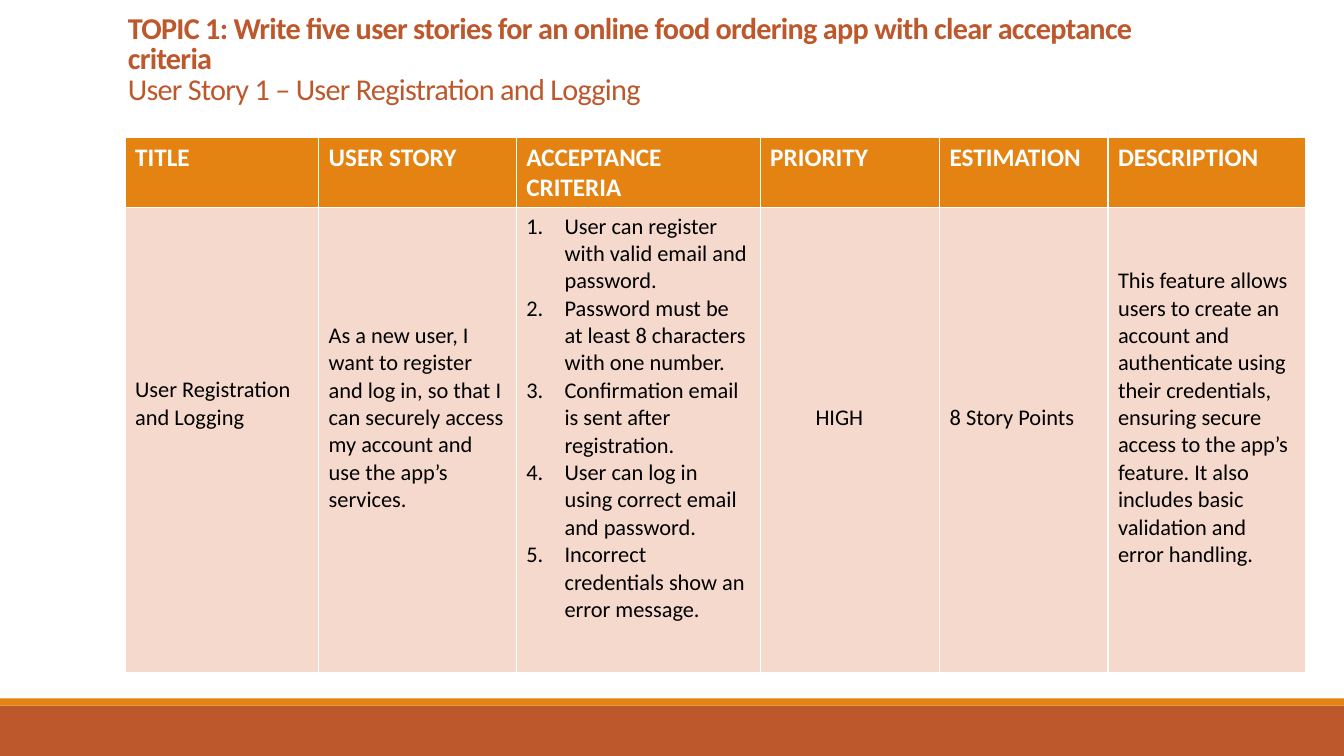
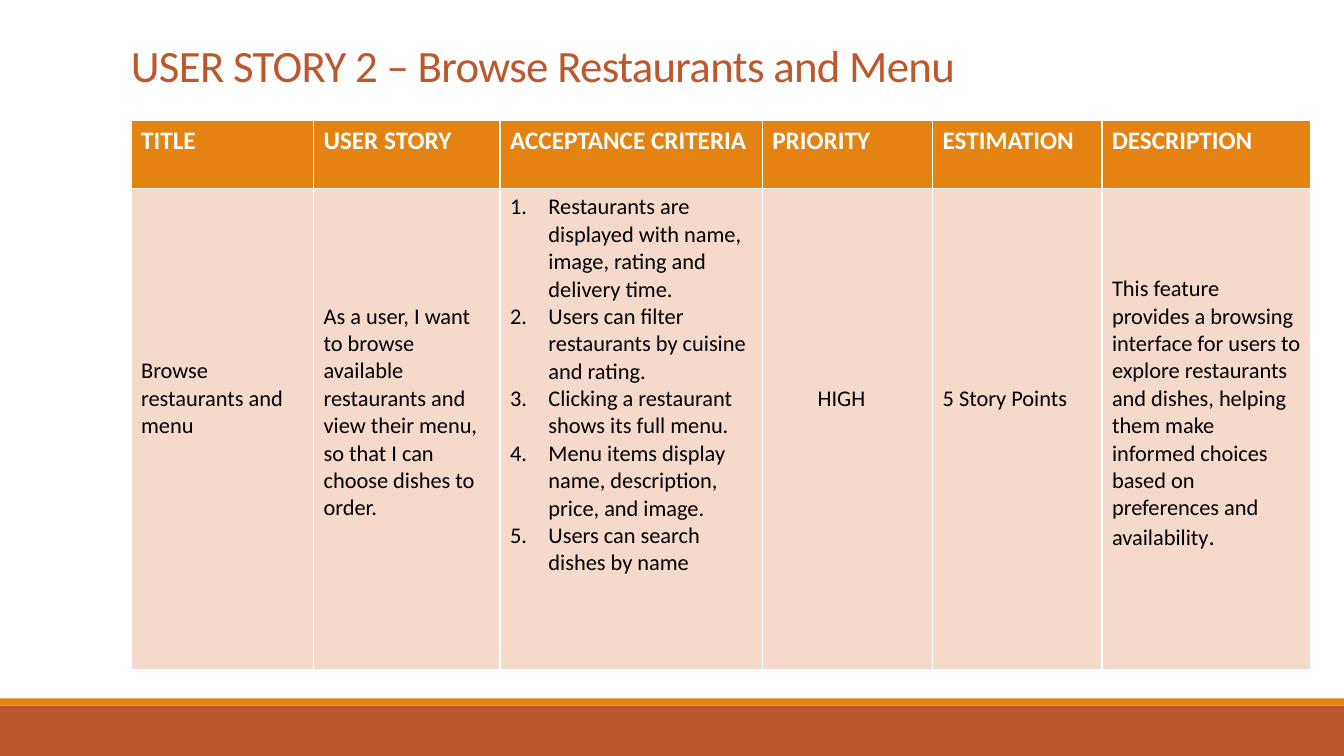
from lxml.etree import SubElement
from pptx import Presentation
from pptx.dml.color import RGBColor
from pptx.enum.shapes import MSO_SHAPE
from pptx.enum.text import MSO_ANCHOR
from pptx.oxml.ns import qn
from pptx.util import Inches, Pt

COLORS = {
    "rust": "BD582C",
    "orange": "E48312",
    "blush": "F5D9CC",
    "white": "FFFFFF",
    "black": "000000",
}
ROWS = 75
LINE = 2.71
HEADERS = ["TITLE", "USER STORY", "ACCEPTANCE CRITERIA", "PRIORITY", "ESTIMATION", "DESCRIPTION"]

STORIES = [
    {
        "title": {
            "box": (11.7, 0.5, 110, 10.6),
            "size": 21.6,
            "lines": [
                ("TOPIC 1: Write five user stories for an online food ordering app with clear acceptance criteria", True),
                ("User Story 1 – User Registration and Logging", False),
            ],
        },
        "corner": (12.4, 13.6),
        "columns": [19.2, 19.6, 24.2, 17.8, 16.7, 19.6],
        "rows": [7, 46.1],
        "name": "User Registration and Logging",
        "story": "As a new user, I want to register and log in, so that I can securely access "
                 "my account and use the app’s services.",
        "criteria": [
            "User can register with valid email and password.",
            "Password must be at least 8 characters with one number.",
            "Confirmation email is sent after registration.",
            "User can log in using correct email and password.",
            "Incorrect credentials show an error message.",
        ],
        "priority": "HIGH",
        "estimation": "8 Story Points",
        "description": [
            ("This feature allows users to create an account and authenticate using their "
             "credentials, ensuring secure access to the app’s feature. It also includes basic "
             "validation and error handling.", 16),
        ],
        "description_drop": 2,
    },
    {
        "title": {
            "box": (12, 3.1, 110, 6.5),
            "size": 32,
            "lines": [("USER STORY 2 – Browse Restaurants and Menu", False)],
        },
        "corner": (13, 11.9),
        "columns": [18.1, 18.5, 26, 16.9, 16.8, 20.7],
        "rows": [6.8, 47.7],
        "name": "Browse restaurants and menu",
        "story": "As a user, I want to browse available restaurants and view their menu, "
                 "so that I can choose dishes to order.",
        "criteria": [
            "Restaurants are displayed with name, image, rating and delivery time.",
            "Users can filter restaurants by cuisine and rating.",
            "Clicking a restaurant shows its full menu.",
            "Menu items display name, description, price, and image.",
            "Users can search dishes by name",
        ],
        "priority": "HIGH",
        "estimation": "5 Story Points",
        "description": [
            ("This feature provides a browsing interface for users to explore restaurants and "
             "dishes, helping them make informed choices based on preferences and availability", 16),
            (".", 18),
        ],
        "description_drop": 3,
    },
]


class StoryDeck:
    """Hold the shared style and the current slide, and draw its elements."""

    def __init__(self):
        self.presentation = Presentation()
        self.presentation.slide_width = Inches(13.33)
        self.presentation.slide_height = Inches(7.5)
        self.slide = None

    def grid(self, *counts):
        unit = self.presentation.slide_height / ROWS
        return [round(count * unit) for count in counts]

    def add_slide(self):
        self.slide = self.presentation.slides.add_slide(self.presentation.slide_layouts[6])
        self.band(70, 5, "rust")
        self.band(69.3, 0.7, "orange")

    def band(self, top, height, color):
        top, height = self.grid(top, height)
        shape = self.slide.shapes.add_shape(
            MSO_SHAPE.RECTANGLE, 0, top, self.presentation.slide_width, height)
        shape.shadow.inherit = False
        shape.line.fill.background()
        self.fill(shape, color)

    def fill(self, target, color):
        target.fill.solid()
        target.fill.fore_color.rgb = RGBColor.from_string(COLORS[color])

    def run(self, paragraph, text, size, color, bold=False):
        run = paragraph.add_run()
        run.text = text
        for name, value in {"name": "Calibri", "size": Pt(size), "bold": bold}.items():
            setattr(run.font, name, value)
        run.font.color.rgb = RGBColor.from_string(COLORS[color])
        return run

    def title(self, box, size, lines):
        frame = self.slide.shapes.add_textbox(*self.grid(*box)).text_frame
        for name, value in {"word_wrap": True, "vertical_anchor": MSO_ANCHOR.BOTTOM}.items():
            setattr(frame, name, value)
        paragraph = frame.paragraphs[0]
        paragraph.line_spacing = 0.85
        for index, (text, bold) in enumerate(lines):
            if index:
                paragraph.add_line_break()
            run = self.run(paragraph, text, size, "rust", bold)
            run._r.get_or_add_rPr().set("spc", "-50")

    def cell(self, cell, paragraphs, fill, color, bold=False, drop=0, inset=1, numbered=False):
        self.fill(cell, fill)
        cell.margin_left, cell.margin_top = self.grid(inset, 0.5 + drop * LINE)
        frame = cell.text_frame
        for index, runs in enumerate(paragraphs):
            paragraph = frame.add_paragraph() if index else frame.paragraphs[0]
            if numbered:
                self.number(paragraph)
            for text, size in runs:
                self.run(paragraph, text, size, color, bold)

    def number(self, paragraph):
        properties = paragraph._p.get_or_add_pPr()
        indent = Inches(0.38)
        properties.set("marL", str(indent))
        properties.set("indent", str(-indent))
        SubElement(properties, qn("a:buFont")).set("typeface", "+mj-lt")
        SubElement(properties, qn("a:buAutoNum")).set("type", "arabicPeriod")

    def table(self, story):
        columns, rows = story["columns"], story["rows"]
        box = self.grid(*story["corner"], sum(columns), sum(rows))
        table = self.slide.shapes.add_table(len(rows), len(columns), *box).table
        for column, width in zip(table.columns, self.grid(*columns)):
            column.width = width
        for row, height in zip(table.rows, self.grid(*rows)):
            row.height = height
        for index, header in enumerate(HEADERS):
            self.cell(table.cell(0, index), [[(header, 18)]], "orange", "white", bold=True)
        contents = [
            ([[(story["name"], 16)]], {"drop": 6}),
            ([[(story["story"], 16)]], {"drop": 4}),
            ([[(text, 16)] for text in story["criteria"]], {"numbered": True}),
            ([[(story["priority"], 16)]], {"drop": 7, "inset": 5.5}),
            ([[(story["estimation"], 16)]], {"drop": 7}),
            ([story["description"]], {"drop": story["description_drop"]}),
        ]
        for index, (paragraphs, options) in enumerate(contents):
            self.cell(table.cell(1, index), paragraphs, "blush", "black", **options)


def main():
    deck = StoryDeck()
    for story in STORIES:
        deck.add_slide()
        deck.title(**story["title"])
        deck.table(story)
    deck.presentation.save("out.pptx")


if __name__ == "__main__":
    main()
